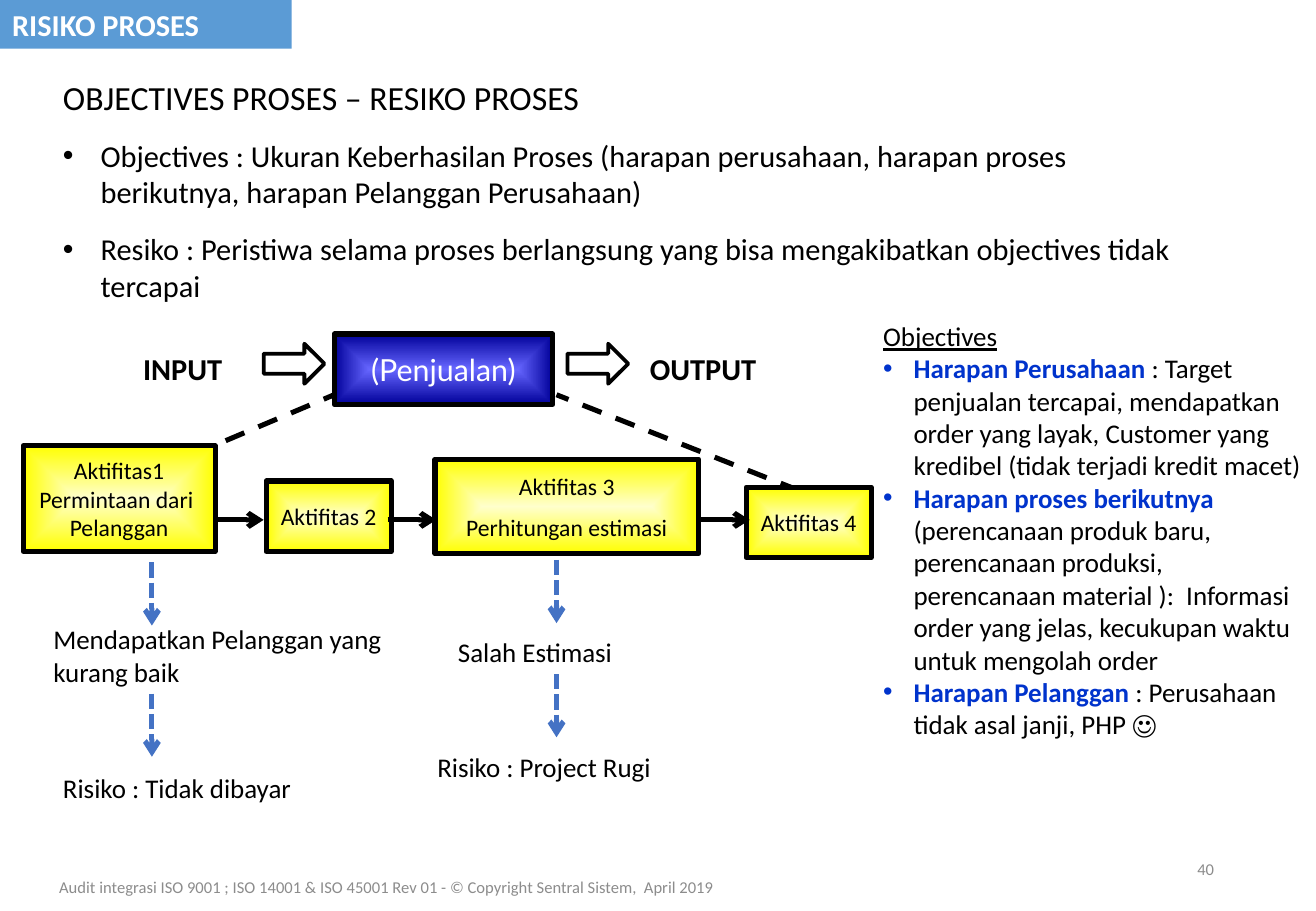
"""Build the process risk slide: objectives, sales flow and its risks."""
from lxml import etree
from pptx import Presentation
from pptx.dml.color import RGBColor
from pptx.enum.dml import MSO_LINE
from pptx.enum.shapes import MSO_CONNECTOR, MSO_SHAPE
from pptx.enum.text import MSO_ANCHOR, MSO_AUTO_SIZE, PP_ALIGN
from pptx.oxml import parse_xml
from pptx.oxml.ns import nsdecls, qn
from pptx.util import Pt

PX = 9144
BLACK = RGBColor(0, 0, 0)
WHITE = RGBColor(255, 255, 255)
SKY = RGBColor(0x5B, 0x9B, 0xD5)
BLUE = RGBColor(0x44, 0x72, 0xC4)
DEEP = RGBColor(0x00, 0x33, 0xCC)
GREY = RGBColor(0x8C, 0x8C, 0x8C)
NAVY = RGBColor(0x00, 0x00, 0x99)
IRIS = RGBColor(0x66, 0x66, 0xFF)
CREAM = RGBColor(0xFF, 0xFF, 0xCC)
YELLOW = RGBColor(0xFF, 0xFF, 0x00)
LEFT, MID, RIGHT = PP_ALIGN.LEFT, PP_ALIGN.CENTER, PP_ALIGN.RIGHT
TOP, CENTER = MSO_ANCHOR.TOP, MSO_ANCHOR.MIDDLE
NO_FIT = MSO_AUTO_SIZE.NONE
RECT, ARROW = MSO_SHAPE.RECTANGLE, MSO_SHAPE.RIGHT_ARROW
STRAIGHT = MSO_CONNECTOR.STRAIGHT
DASH, SHORT = MSO_LINE.DASH, MSO_LINE.SQUARE_DOT


def px(*nums):
    return [n * PX for n in nums]


def write(shape, paras, size, color=BLACK, align=LEFT, anchor=TOP,
          wrap=False, gap=0, after=0, hang=0, face="Calibri", bold=False):
    frame = shape.text_frame
    frame.auto_size, frame.word_wrap = NO_FIT, wrap
    frame.vertical_anchor = anchor
    for i, runs in enumerate(paras):
        para = frame.paragraphs[0] if i == 0 else frame.add_paragraph()
        para.alignment = align
        para.space_before = Pt(gap if i else 0)
        para.space_after = Pt(after)
        if hang and i:
            props = para._p.get_or_add_pPr()
            props.set("marL", str(hang * PX))
            props.set("indent", str(-hang * PX))
            etree.SubElement(props, qn("a:buFont")).set("typeface", "Arial")
            etree.SubElement(props, qn("a:buChar")).set("char", "•")
        for text, extra in runs:
            run = para.add_run()
            run.text = text
            look = {"name": face, "size": Pt(size), "bold": bold, "color": color} | extra
            run.font.color.rgb = look.pop("color")
            for key, value in look.items():
                setattr(run.font, key, value)


deck = Presentation()
deck.slide_width, deck.slide_height = px(1083, 750)
slide = deck.slides.add_slide(deck.slide_layouts[5])
shapes = slide.shapes

title = shapes.title
title.left, title.top, title.width, title.height = px(0, 0, 240, 40)
title.fill.solid()
title.fill.fore_color.rgb = SKY
write(title, [[("RISIKO PROSES", {})]], 18, WHITE, anchor=CENTER, bold=True)

intro = shapes.add_textbox(*px(42, 58, 950, 200))
write(intro, [
    [("OBJECTIVES PROSES – RESIKO PROSES", {"size": Pt(20)})],
    [("Objectives : Ukuran Keberhasilan Proses (harapan perusahaan, "
      "harapan proses berikutnya, harapan Pelanggan Perusahaan)", {})],
    [("Resiko : Peristiwa selama proses berlangsung yang bisa "
      "mengakibatkan objectives tidak tercapai", {})],
], 18, wrap=True, gap=6, after=6, hang=31)

key = {"color": DEEP, "bold": True}
goals = shapes.add_textbox(*px(717, 258, 367, 441))
goals.fill.solid()
goals.fill.fore_color.rgb = WHITE
write(goals, [
    [("Objectives", {"underline": True})],
    [("Harapan Perusahaan ", key),
     (": Target penjualan tercapai, mendapatkan order yang layak, "
      "Customer yang kredibel (tidak terjadi kredit macet)", {})],
    [("Harapan proses berikutnya ", key),
     ("(perencanaan produk baru, perencanaan produksi, perencanaan "
      "material ):  Informasi order yang jelas, kecukupan waktu untuk "
      "mengolah order", {})],
    [("Harapan Pelanggan ", key),
     (": Perusahaan tidak asal janji, PHP ☺", {})],
], 16, wrap=True, hang=25)

LINKS = [
    (105, 397, 275, 325, BLACK, DASH, False),
    (658, 404, 458, 325, BLACK, DASH, False),
    *[(x, 428, x + 40, 428, BLACK, None, True) for x in (177, 319, 577)],
    *[(x, y, x, y + 52, BLUE, SHORT, True)
      for x, y in ((125, 463), (125, 571), (458, 461), (458, 555))],
]
BOXES = [
    (275, 275, 180, 58, ["(Penjualan)"], IRIS, NAVY, WHITE, 18, "Lato", 0),
    *[(*spot, lines, CREAM, YELLOW, BLACK, 14, "Calibri", gap)
      for spot, lines, gap in (
          ((19, 367, 158, 87), ["Aktifitas1", "Permintaan dari ", "Pelanggan"], 0),
          ((219, 396, 103, 58), ["Aktifitas 2"], 0),
          ((358, 378, 217, 78), ["Aktifitas 3", "Perhitungan estimasi"], 7),
          ((614, 401, 103, 58), ["Aktifitas 4"], 0))],
]


def link(x1, y1, x2, y2, color, dash, head):
    line = shapes.add_connector(STRAIGHT, *px(x1, y1, x2, y2))
    line.line.color.rgb, line.line.width = color, Pt(3)
    if dash:
        line.line.dash_style = dash
    if head:
        tail = etree.SubElement(line.line._get_or_add_ln(), qn("a:tailEnd"))
        tail.set("type", "arrow")
    etree.SubElement(line._element.spPr, qn("a:effectLst"))


for item in LINKS[:2]:
    link(*item)

for x, y, w, h, lines, inner, outer, ink, size, face, gap in BOXES:
    box = shapes.add_shape(RECT, *px(x, y, w, h))
    box.shadow.inherit = False
    box.fill.gradient()
    for stop, tone in zip(box.fill.gradient_stops, (inner, outer)):
        stop.color.rgb = tone
    slope = box._element.spPr.find(".//" + qn("a:lin"))
    slope.getparent().replace(slope, parse_xml(
        f'<a:path {nsdecls("a")} path="rect"><a:fillToRect l="50000" '
        't="50000" r="50000" b="50000"/></a:path>'))
    box.line.color.rgb, box.line.width = BLACK, Pt(3)
    write(box, [[(text, {})] for text in lines], size, ink, MID, CENTER,
          gap=gap, face=face)

for item in LINKS[2:]:
    link(*item)

for x in (217, 467):
    arrow = shapes.add_shape(ARROW, *px(x, 283, 50, 33))
    arrow.shadow.inherit = False
    arrow.fill.background()
    arrow.line.color.rgb, arrow.line.width = BLACK, Pt(2.25)

plain = {"size": 16}
strong = {"size": 18, "bold": True}
small = {"size": 9.8, "color": GREY, "anchor": CENTER, "wrap": True}
for x, y, w, h, text, look in (
    (108, 283, 96, 40, "INPUT", strong),
    (525, 283, 124, 40, "OUTPUT", strong),
    (34, 508, 308, 64, "Mendapatkan Pelanggan yang kurang baik", plain | {"wrap": True}),
    (42, 630, 244, 37, "Risiko : Tidak dibayar", plain),
    (367, 518, 175, 37, "Salah Estimasi", plain),
    (350, 613, 222, 37, "Risiko : Project Rugi", plain),
    (765, 695, 244, 40, "40", small | {"align": RIGHT}),
    (-9, 710, 654, 40, "Audit integrasi ISO 9001 ; ISO 14001 & ISO 45001 Rev 01 - "
     "© Copyright Sentral Sistem,  April 2019", small | {"align": MID}),
):
    write(shapes.add_textbox(*px(x, y, w, h)), [[(text, {})]], **look)

deck.save("out.pptx")
